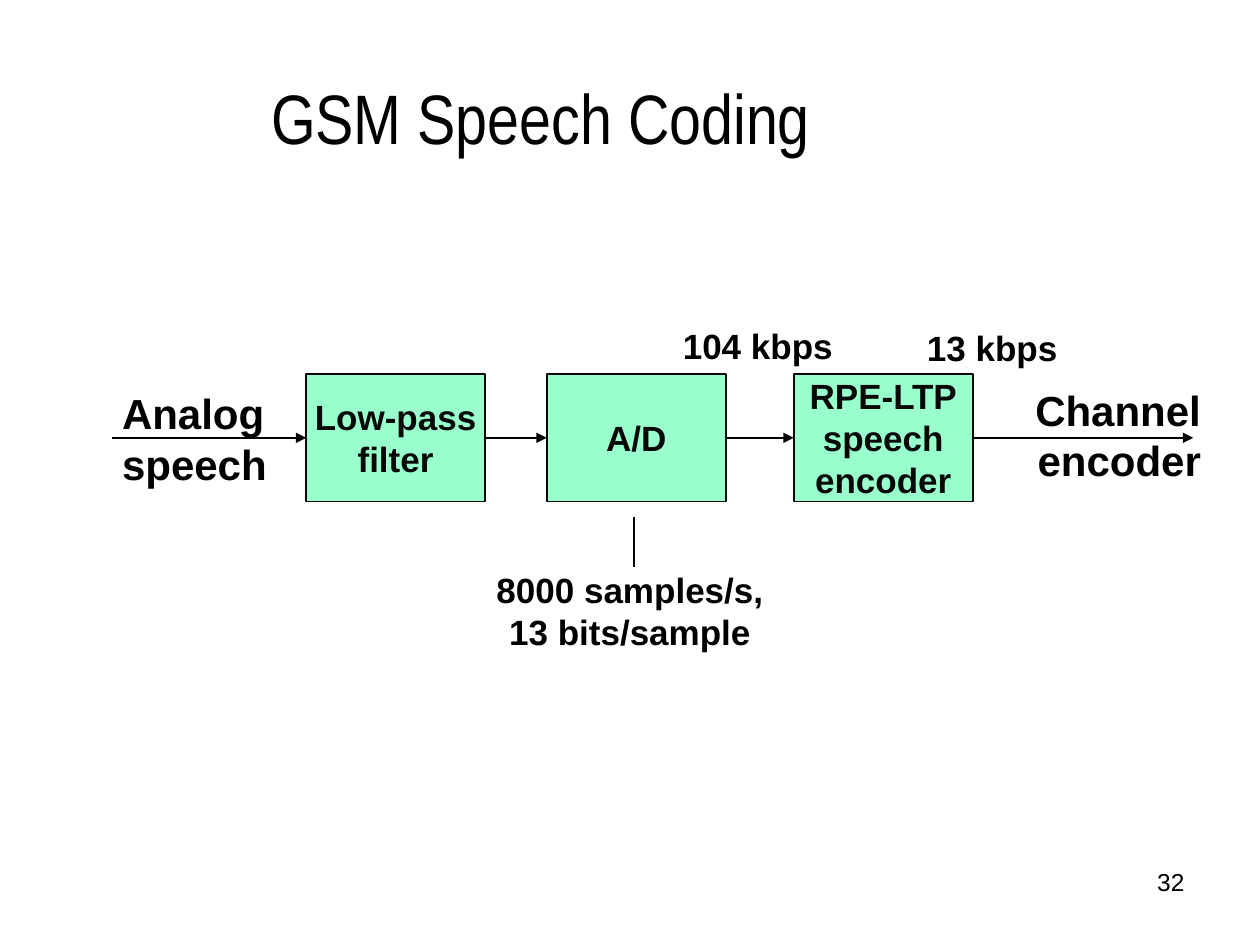
"""Build the GSM speech coding slide."""
from typing import NamedTuple, Optional

import pptx
import pptx.dml.color
import pptx.enum.shapes
import pptx.enum.text
import pptx.oxml
import pptx.oxml.ns
import pptx.util
from pptx.util import Inches

RGBColor = pptx.dml.color.RGBColor
Align = pptx.enum.text.PP_ALIGN
Anchor = pptx.enum.text.MSO_ANCHOR
Fit = pptx.enum.text.MSO_AUTO_SIZE

BLACK = RGBColor(0x00, 0x00, 0x00)
INK = RGBColor(0x08, 0x08, 0x08)
MINT = RGBColor(0x99, 0xFF, 0xCC)

TOP, WIDTH, HEIGHT = 2.97, 1.42, 1.01
MIDDLE = TOP + HEIGHT / 2
LEFT_SIDE, RIGHT_SIDE = 1, 3


class Stage(NamedTuple):
    text: str
    left: float


class Label(NamedTuple):
    text: str
    left: float
    top: float
    width: float
    height: float
    size: int = 20
    align: Align = Align.CENTER
    bold: bool = True
    wrap: bool = False


STAGES = [
    Stage("Low-pass\nfilter", 2.43),
    Stage("A/D", 4.34),
    Stage("RPE-LTP\nspeech\nencoder", 6.3),
]

LABELS = [
    Label("Analog\nspeech", 0.87, 3.03, 1.39, 0.9, 24, Align.LEFT),
    Label("Channel\nencoder", 8.08, 3, 1.55, 0.9, 24, Align.RIGHT),
    Label("8000 samples/s,\n13 bits/sample", 3.82, 4.46, 2.36, 0.77),
    Label("104 kbps", 5.3, 2.53, 1.43, 0.44),
    Label("13 kbps", 7.24, 2.54, 1.27, 0.44),
    Label("32", 7.17, 6.83, 2.33, 0.52, 14, Align.RIGHT, False, True),
]


def write(frame, text: str, size: int, color: RGBColor = BLACK,
          align: Align = Align.CENTER, bold: bool = True,
          face: str = "Arial") -> None:
    """Fill a text frame and format all its runs."""
    frame.text = text
    for line in frame.paragraphs:
        line.alignment = align
        for run in line.runs:
            run.font.name = face
            run.font.size = pptx.util.Pt(size)
            run.font.bold = bold
            run.font.color.rgb = color


def add_stage(slide, stage: Stage):
    """Draw one processing box and return it."""
    box = slide.shapes.add_shape(
        pptx.enum.shapes.MSO_SHAPE.RECTANGLE, Inches(stage.left),
        Inches(TOP), Inches(WIDTH), Inches(HEIGHT))
    box.shadow.inherit = False
    box.fill.solid()
    box.fill.fore_color.rgb = MINT
    box.line.color.rgb = INK
    box.line.width = pptx.util.Pt(1)
    frame = box.text_frame
    frame.word_wrap = False
    frame.vertical_anchor = Anchor.MIDDLE
    write(frame, stage.text, 20, INK)
    return box


def add_label(slide, label: Label) -> None:
    """Draw one free-standing text."""
    frame = slide.shapes.add_textbox(
        Inches(label.left), Inches(label.top),
        Inches(label.width), Inches(label.height)).text_frame
    frame.word_wrap = label.wrap
    frame.auto_size = Fit.NONE if label.wrap else Fit.SHAPE_TO_FIT_TEXT
    write(frame, label.text, label.size, align=label.align, bold=label.bold)


def add_line(slide, x1: float, y1: float, x2: float, y2: float,
             arrow: bool = False):
    """Draw a thin straight line, with an arrowhead if asked."""
    line = slide.shapes.add_connector(
        pptx.enum.shapes.MSO_CONNECTOR.STRAIGHT,
        Inches(x1), Inches(y1), Inches(x2), Inches(y2))
    line.line.color.rgb = BLACK
    line.line.width = pptx.util.Pt(1)
    if arrow:
        tail = pptx.oxml.ns.qn("a:tailEnd")
        pen = line.line._get_or_add_ln()
        pen.append(pen.makeelement(tail, {"type": "triangle"}))
    props = line._element.spPr
    props.append(props.makeelement(pptx.oxml.ns.qn("a:effectLst"), {}))
    return line


def add_flow(slide, start: float, end: float, source: Optional[object],
             target: Optional[object]) -> None:
    """Draw an arrow along the chain, joined to the boxes it meets."""
    line = add_line(slide, start, MIDDLE, end, MIDDLE, arrow=True)
    if source is not None:
        line.begin_connect(source, RIGHT_SIDE)
    if target is not None:
        line.end_connect(target, LEFT_SIDE)


def main() -> None:
    """Build and save the slide."""
    deck = pptx.Presentation()
    deck.slide_width, deck.slide_height = Inches(10), Inches(7.5)
    slide = deck.slides.add_slide(deck.slide_layouts[5])

    title = slide.shapes.title
    title.left, title.top = Inches(0.5), Inches(0.3)
    title.width, title.height = Inches(7.58), Inches(1.25)
    title.text_frame.vertical_anchor = Anchor.MIDDLE
    write(title.text_frame, "GSM Speech Coding", 40, bold=False,
          face="Arial Narrow")

    boxes = [add_stage(slide, stage) for stage in STAGES]
    for label in LABELS:
        add_label(slide, label)

    starts = [0.89] + [stage.left + WIDTH for stage in STAGES]
    ends = [stage.left for stage in STAGES] + [9.47]
    for flow in zip(starts, ends, [None] + boxes, boxes + [None]):
        add_flow(slide, *flow)
    add_line(slide, 5.03, 4.1, 5.03, 4.5)

    deck.save("out.pptx")


if __name__ == "__main__":
    main()
